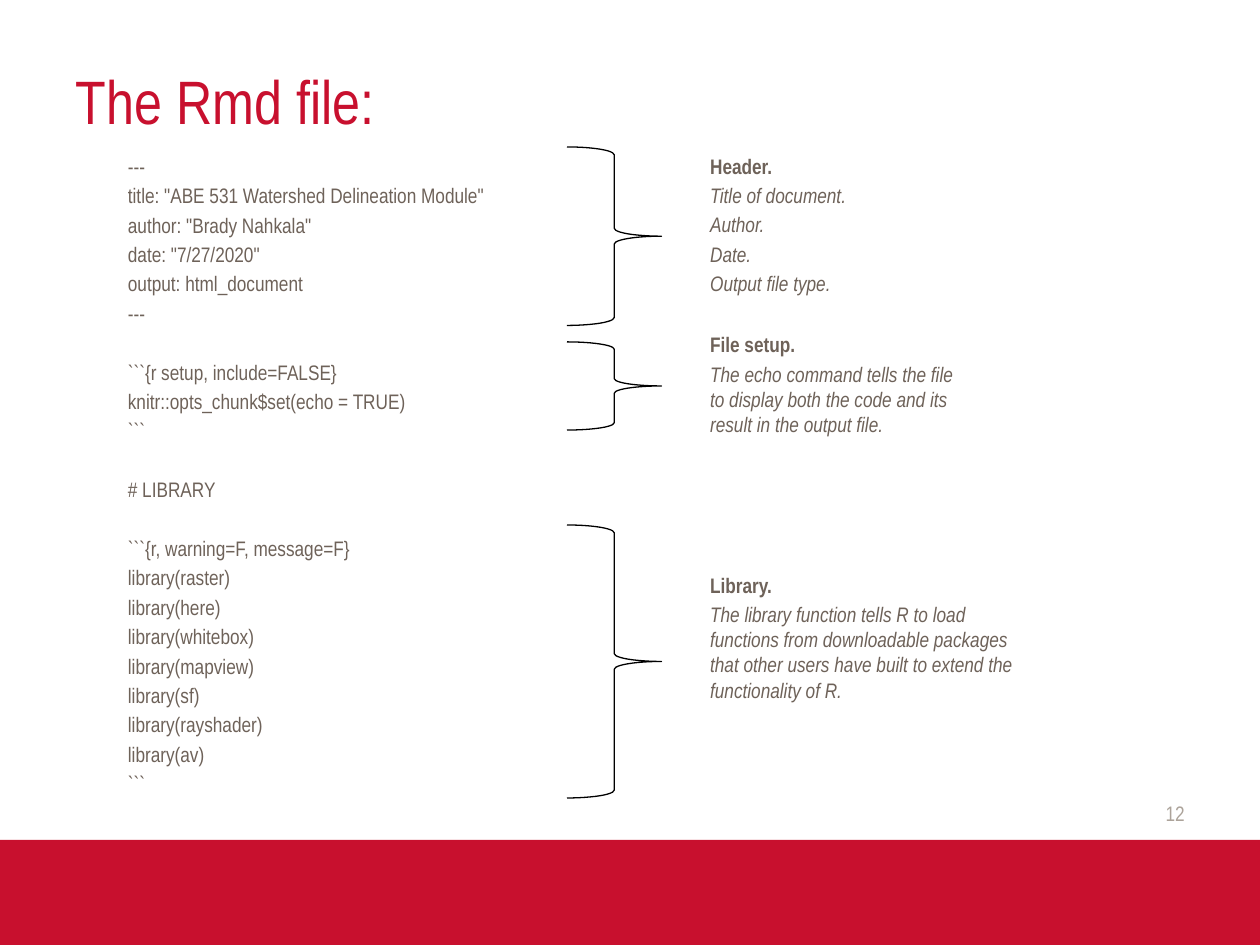
from pptx import Presentation
from pptx.dml.color import RGBColor as RGB
from pptx.enum.shapes import MSO_SHAPE as SHAPE
from pptx.enum.text import MSO_ANCHOR as ANCHOR, MSO_AUTO_SIZE as FIT, PP_ALIGN as ALIGN
from pptx.util import Pt

FACE = "Arial Narrow"
HUES = {"red": "C8102E", "text": "6E6259", "page": "ACA39A", "line": "000000"}
GAP = 2.4     # space before each line
BREAK = 19.2  # space before a new block: one line more

# Code blocks of the Rmd file
CODE = [
    ["---", 'title: "ABE 531 Watershed Delineation Module"',
     'author: "Brady Nahkala"', 'date: "7/27/2020"',
     "output: html_document", "---"],
    ["```{r setup, include=FALSE}", "knitr::opts_chunk$set(echo = TRUE)", "```"],
    ["# LIBRARY"],
    ["```{r, warning=F, message=F}", "library(raster)", "library(here)",
     "library(whitebox)", "library(mapview)", "library(sf)",
     "library(rayshader)", "library(av)", "```"],
]

# Brace top and height, note top, width and height, note lines
PARTS = [
    (84, 102, 84, 162, 98.6,
     ["Header.", "Title of document.", "Author.", "Date.", "Output file type."]),
    (195.4, 50.4, 186.2, 162, 98.6,
     ["File setup.", "The echo command tells the file to display both the code "
      "and its result in the output file."]),
    (300, 156, 323.4, 190, 116.6,
     ["Library.", "The library function tells R to load functions from "
      "downloadable packages that other users have built to extend the "
      "functionality of R."]),
]


def color(name):
    return RGB.from_string(HUES[name])


def style(par, size, hue):
    font = par.font
    font.name, font.size = FACE, Pt(size)
    font.color.rgb = color(hue)


def place(shape, left, top, width, height):
    shape.left, shape.top = Pt(left), Pt(top)
    shape.width, shape.height = Pt(width), Pt(height)


def add_title(slide, text):
    title = slide.shapes.title
    place(title, 36, 12, 612, 90)
    frame = title.text_frame
    frame.text = text
    frame.auto_size = FIT.NONE
    frame.vertical_anchor = ANCHOR.MIDDLE
    par = frame.paragraphs[0]
    par.alignment = ALIGN.LEFT
    style(par, 35, "red")


def add_text(slide, box, lines, hue="text"):
    """Write (text, space before) pairs as paragraphs; return the frame."""
    frame = slide.shapes.add_textbox(*map(Pt, box)).text_frame
    frame.word_wrap = True
    for i, (text, space) in enumerate(lines):
        par = frame.add_paragraph() if i else frame.paragraphs[0]
        par.text = text
        par.space_before = Pt(space)
        style(par, 12, hue)
    return frame


def add_code(slide):
    lines = [(text, BREAK if n and not i else GAP)
             for n, block in enumerate(CODE) for i, text in enumerate(block)]
    add_text(slide, (66, 84, 600, 394.6), lines)


def add_note(slide, top, width, height, lines):
    frame = add_text(slide, (398.7, top, width, height),
                     [(text, GAP) for text in lines])
    head, *rest = frame.paragraphs
    head.font.bold = True
    for par in rest:
        par.font.italic = True


def add_brace(slide, top, height):
    brace = slide.shapes.add_shape(
        SHAPE.RIGHT_BRACE, Pt(324), Pt(top), Pt(54), Pt(height))
    brace.shadow.inherit = False
    brace.fill.background()
    brace.line.color.rgb = color("line")
    brace.line.width = Pt(0.75)


def add_band(slide):
    band = slide.shapes.add_shape(SHAPE.RECTANGLE, 0, Pt(480), Pt(720), Pt(60))
    band.shadow.inherit = False
    band.fill.solid()
    band.fill.fore_color.rgb = color("red")
    band.line.fill.background()


def add_page(slide, text):
    frame = add_text(slide, (516, 450, 168, 28.8), [(text, 0)], "page")
    frame.vertical_anchor = ANCHOR.MIDDLE
    frame.paragraphs[0].alignment = ALIGN.RIGHT


def main():
    deck = Presentation()
    deck.slide_width, deck.slide_height = Pt(720), Pt(540)
    slide = deck.slides.add_slide(deck.slide_layouts[5])

    # Frame of the slide
    add_band(slide)
    add_title(slide, "The Rmd file:")
    add_page(slide, "12")

    # Code with its braces and notes
    add_code(slide)
    for top, height, *note in PARTS:
        add_brace(slide, top, height)
        add_note(slide, *note)

    deck.save("out.pptx")


if __name__ == "__main__":
    main()
